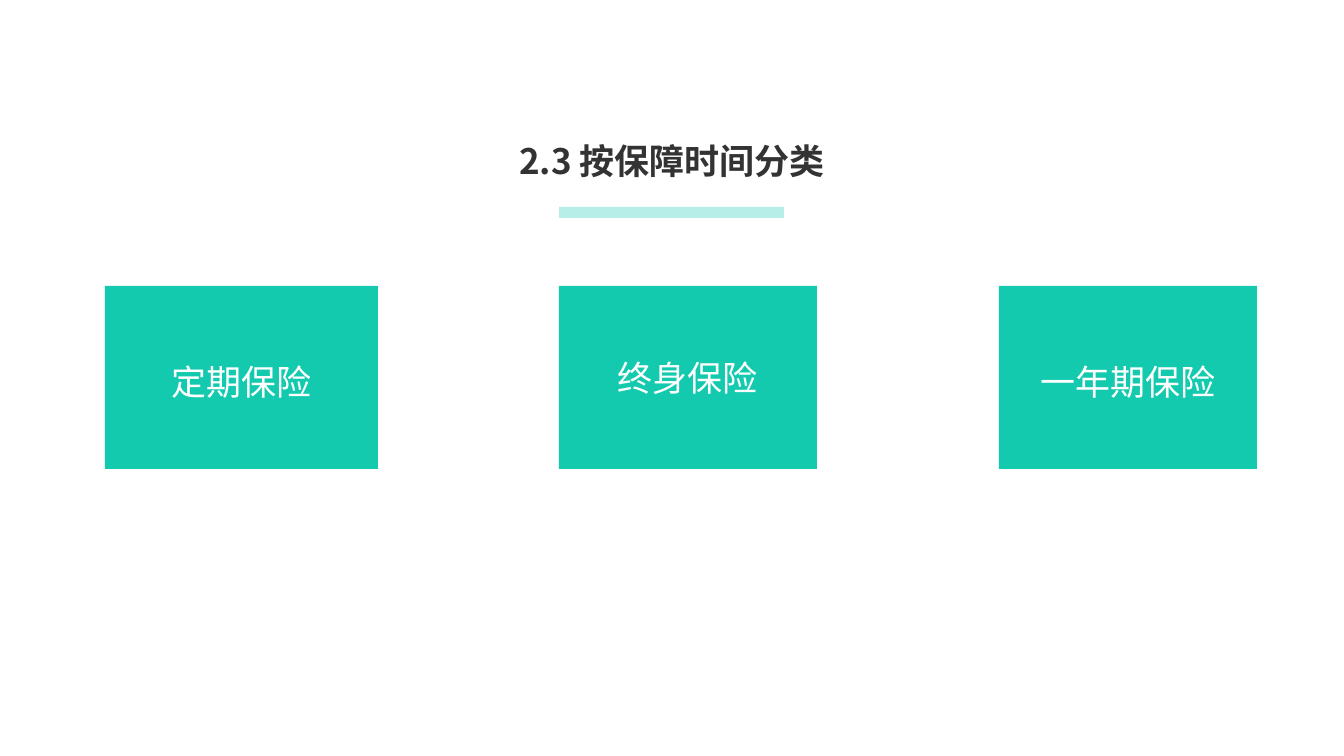
import lxml.etree
import pptx
import pptx.dml.color
import pptx.enum.shapes
import pptx.enum.text
import pptx.oxml.ns
import pptx.util

PX = 914400 / 50.4  # EMU in one px
FONT = "Noto Sans CJK SC"
TEXT_SIZE = 50
COLORS = {
    "card": "13CAAF",
    "underline": "13C8B1",
    "title": "333333",
    "label": "FFFFFF",
}
CARD_TOP, CARD_HEIGHT = 286, 183
LABEL_WIDTH, LABEL_HEIGHT = 238, 57

# label, card left, card width, label top
CARDS = [
    ("定期保险", 105, 273, 353),
    ("终身保险", 559, 258, 349),
    ("一年期保险", 999, 258, 353),
]


def emu(*lengths):
    return [pptx.util.Emu(round(length * PX)) for length in lengths]


def color(name):
    return pptx.dml.color.RGBColor.from_string(COLORS[name])


def add_bar(page, left, top, width, height, fill, opacity=100):
    bar = page.shapes.add_shape(
        pptx.enum.shapes.MSO_SHAPE.RECTANGLE, *emu(left, top, width, height))
    bar.shadow.inherit = False
    bar.line.fill.background()
    bar.fill.solid()
    bar.fill.fore_color.rgb = color(fill)
    if opacity < 100:
        shade = bar.fill._xPr.find(".//" + pptx.oxml.ns.qn("a:srgbClr"))
        alpha = lxml.etree.SubElement(shade, pptx.oxml.ns.qn("a:alpha"))
        alpha.set("val", str(opacity * 1000))


def add_text(page, left, top, width, height, text, ink, bold=False):
    box = page.shapes.add_textbox(*emu(left, top, width, height))
    frame = box.text_frame
    frame.word_wrap = True
    frame.vertical_anchor = pptx.enum.text.MSO_ANCHOR.MIDDLE
    inset, = emu(3)
    frame.margin_left = frame.margin_right = inset
    frame.margin_top = frame.margin_bottom = inset
    para = frame.paragraphs[0]
    para.alignment = pptx.enum.text.PP_ALIGN.CENTER
    span = para.add_run()
    span.text = text
    span.font.size = pptx.util.Pt(TEXT_SIZE)
    span.font.bold = bold
    span.font.color.rgb = color(ink)
    span.font.name = FONT
    # Chinese characters take the East Asian typeface
    east_asian = lxml.etree.SubElement(
        span.font._element, pptx.oxml.ns.qn("a:ea"))
    east_asian.set("typeface", FONT)


def add_card(page, label, left, width, label_top):
    add_bar(page, left, CARD_TOP, width, CARD_HEIGHT, "card")
    label_left = left + (width - LABEL_WIDTH) / 2
    add_text(page, label_left, label_top, LABEL_WIDTH, LABEL_HEIGHT,
             label, "label")


def main():
    deck = pptx.Presentation()
    deck.slide_width, deck.slide_height = emu(1344, 756)
    page = deck.slides.add_slide(deck.slide_layouts[6])

    # Title and its underline
    add_text(page, 233, 132, 878, 57, "2.3 按保障时间分类", "title", bold=True)
    add_bar(page, 559, 207, 225, 11, "underline", opacity=30)

    # Insurance types
    for card in CARDS:
        add_card(page, *card)

    deck.save("out.pptx")


if __name__ == "__main__":
    main()
